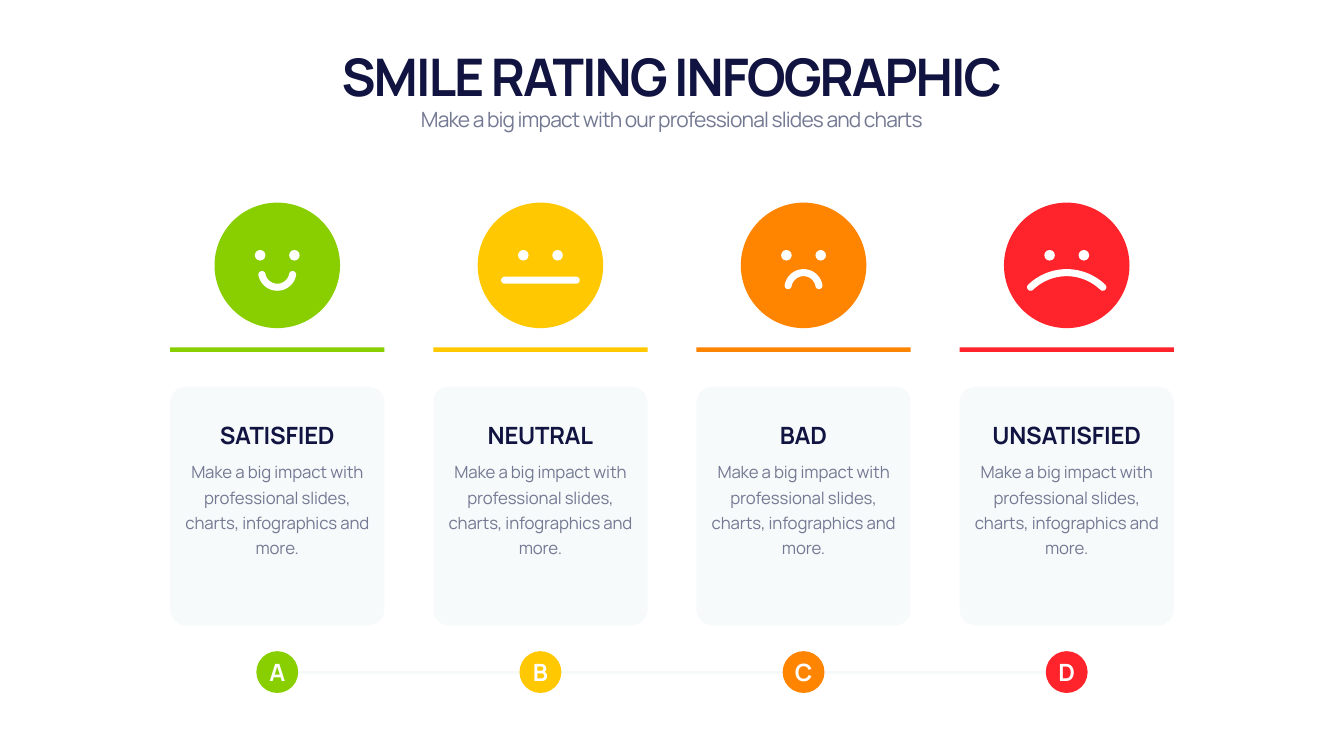
from math import cos, radians, sin

from pptx import Presentation
from pptx.dml.color import RGBColor
from pptx.enum.shapes import MSO_CONNECTOR, MSO_SHAPE
from pptx.enum.text import MSO_ANCHOR, MSO_AUTO_SIZE, PP_ALIGN
from pptx.oxml.ns import qn
from pptx.util import Emu, Pt

PIXEL = 9144  # EMU: 100 px to the inch
FONT = "Manrope"
NAVY, GREY, PALE, WHITE = "111340", "747993", "F6FAFB", "FFFFFF"

FIRST_CENTER, COLUMN_STEP = 550, 522
CARD_WIDTH, TEXT_WIDTH = 425, 386
FACE_TOP, FACE_SIZE = 402, 249
EYE_TOP, EYE_SIZE, EYE_OFFSET = 496, 21, 34
STROKE = 14
BADGE_TOP, BADGE_SIZE = 1292, 83
BADGE_MIDDLE = 1334

DESCRIPTION = "Make a big impact with professional slides, charts, infographics and more."
# Letter, title, colour, mouth arc (centre y, radius, start and end degrees; None is straight)
RATINGS = [
    ("A", "SATISFIED", "89CF00", (539, 31, 11, 169)),
    ("B", "NEUTRAL", "FFC800", None),
    ("C", "BAD", "FF8400", (572, 31, 190, 350)),
    ("D", "UNSATISFIED", "FF242B", (644, 103, 226, 314)),
]


def px(value):
    return Emu(round(value * PIXEL))


def color(value):
    return RGBColor.from_string(value)


def paint(shape, fill):
    shape.shadow.inherit = False
    shape.fill.solid()
    shape.fill.fore_color.rgb = color(fill)
    shape.line.fill.background()


def add_block(slide, kind, left, top, width, height, fill):
    shape = slide.shapes.add_shape(kind, px(left), px(top), px(width), px(height))
    paint(shape, fill)
    return shape


def write(frame, text, size, ink, bold=False, spacing=0, line_height=None):
    paragraph = frame.paragraphs[0]
    paragraph.alignment = PP_ALIGN.CENTER
    if line_height:
        paragraph.line_spacing = Pt(line_height)
    font = paragraph.font
    font.name, font.size, font.bold = FONT, Pt(size), bold
    font.color.rgb = color(ink)
    run = paragraph.add_run()
    run.text = text
    run._r.get_or_add_rPr().set("spc", str(spacing))


def add_text(slide, left, top, width, height, text, size, ink,
             anchor=MSO_ANCHOR.TOP, **style):
    frame = slide.shapes.add_textbox(px(left), px(top), px(width), px(height)).text_frame
    frame.word_wrap = True
    frame.auto_size = MSO_AUTO_SIZE.SHAPE_TO_FIT_TEXT
    frame.vertical_anchor = anchor
    write(frame, text, size, ink, **style)


def arc_points(x, y, radius, start, end, steps=24):
    angles = [radians(start + (end - start) * step / steps) for step in range(steps + 1)]
    return [(px(x + radius * cos(angle)), px(y + radius * sin(angle))) for angle in angles]


def add_curved_mouth(slide, x, y, radius, start, end):
    """A thick arc with round ends, as one closed outline."""
    half = STROKE / 2

    def cap(angle, first):
        cap_x = x + radius * cos(radians(angle))
        cap_y = y + radius * sin(radians(angle))
        return arc_points(cap_x, cap_y, half, first, first + 180)

    points = (arc_points(x, y, radius + half, start, end) + cap(end, end)
              + arc_points(x, y, radius - half, end, start) + cap(start, start + 180))
    builder = slide.shapes.build_freeform(*points[0], scale=1.0)
    builder.add_line_segments(points[1:], close=True)
    paint(builder.convert_to_shape(), WHITE)


def add_face(slide, center, fill, mouth):
    add_block(slide, MSO_SHAPE.OVAL, center - FACE_SIZE / 2, FACE_TOP,
              FACE_SIZE, FACE_SIZE, fill)
    for offset in (-EYE_OFFSET, EYE_OFFSET):
        add_block(slide, MSO_SHAPE.OVAL, center + offset - EYE_SIZE / 2, EYE_TOP,
                  EYE_SIZE, EYE_SIZE, WHITE)
    if mouth:
        add_curved_mouth(slide, center, *mouth)
    else:
        bar = add_block(slide, MSO_SHAPE.ROUNDED_RECTANGLE, center - 78, 549,
                        156, STROKE, WHITE)
        bar.adjustments[0] = 0.5


def add_card(slide, center, title, fill):
    left = center - CARD_WIDTH / 2
    text_left = center - TEXT_WIDTH / 2
    add_block(slide, MSO_SHAPE.RECTANGLE, left, 689, CARD_WIDTH, 9, fill)
    card = add_block(slide, MSO_SHAPE.ROUNDED_RECTANGLE, left, 767, CARD_WIDTH, 474, PALE)
    card.adjustments[0] = 0.075
    add_text(slide, text_left, 830, TEXT_WIDTH, 67, title, 34, NAVY,
             anchor=MSO_ANCHOR.BOTTOM, bold=True, spacing=-30)
    add_text(slide, text_left, 902, TEXT_WIDTH, 260, DESCRIPTION, 24, GREY,
             spacing=-20, line_height=36)


def add_badge(slide, center, letter, fill):
    badge = add_block(slide, MSO_SHAPE.OVAL, center - BADGE_SIZE / 2, BADGE_TOP,
                      BADGE_SIZE, BADGE_SIZE, fill)
    frame = badge.text_frame
    frame.margin_left = frame.margin_right = frame.margin_top = frame.margin_bottom = 0
    frame.word_wrap = False
    frame.vertical_anchor = MSO_ANCHOR.MIDDLE
    write(frame, letter, 34, WHITE, bold=True, spacing=-30)


def add_badge_line(slide):
    last_center = FIRST_CENTER + COLUMN_STEP * (len(RATINGS) - 1)
    line = slide.shapes.add_connector(MSO_CONNECTOR.STRAIGHT, px(FIRST_CENTER + 40),
                                      px(BADGE_MIDDLE), px(last_center - 40), px(BADGE_MIDDLE))
    line.line.color.rgb = color(PALE)
    line.line.width = Pt(5)
    properties = line._element.spPr
    properties.append(properties.makeelement(qn("a:effectLst"), {}))


def main():
    presentation = Presentation()
    presentation.slide_width, presentation.slide_height = px(2666), px(1500)
    slide = presentation.slides.add_slide(presentation.slide_layouts[6])

    # Heading
    add_text(slide, 166, 82, 2333, 135, "SMILE RATING INFOGRAPHIC", 74, NAVY,
             anchor=MSO_ANCHOR.BOTTOM, bold=True, spacing=-290)
    add_text(slide, 166, 207, 2333, 61,
             "Make a big impact with our professional slides and charts", 30, GREY,
             spacing=-120)

    # Rating columns, with the line behind their badges
    add_badge_line(slide)
    for index, (letter, title, fill, mouth) in enumerate(RATINGS):
        center = FIRST_CENTER + COLUMN_STEP * index
        add_face(slide, center, fill, mouth)
        add_card(slide, center, title, fill)
        add_badge(slide, center, letter, fill)

    presentation.save("out.pptx")


if __name__ == "__main__":
    main()
